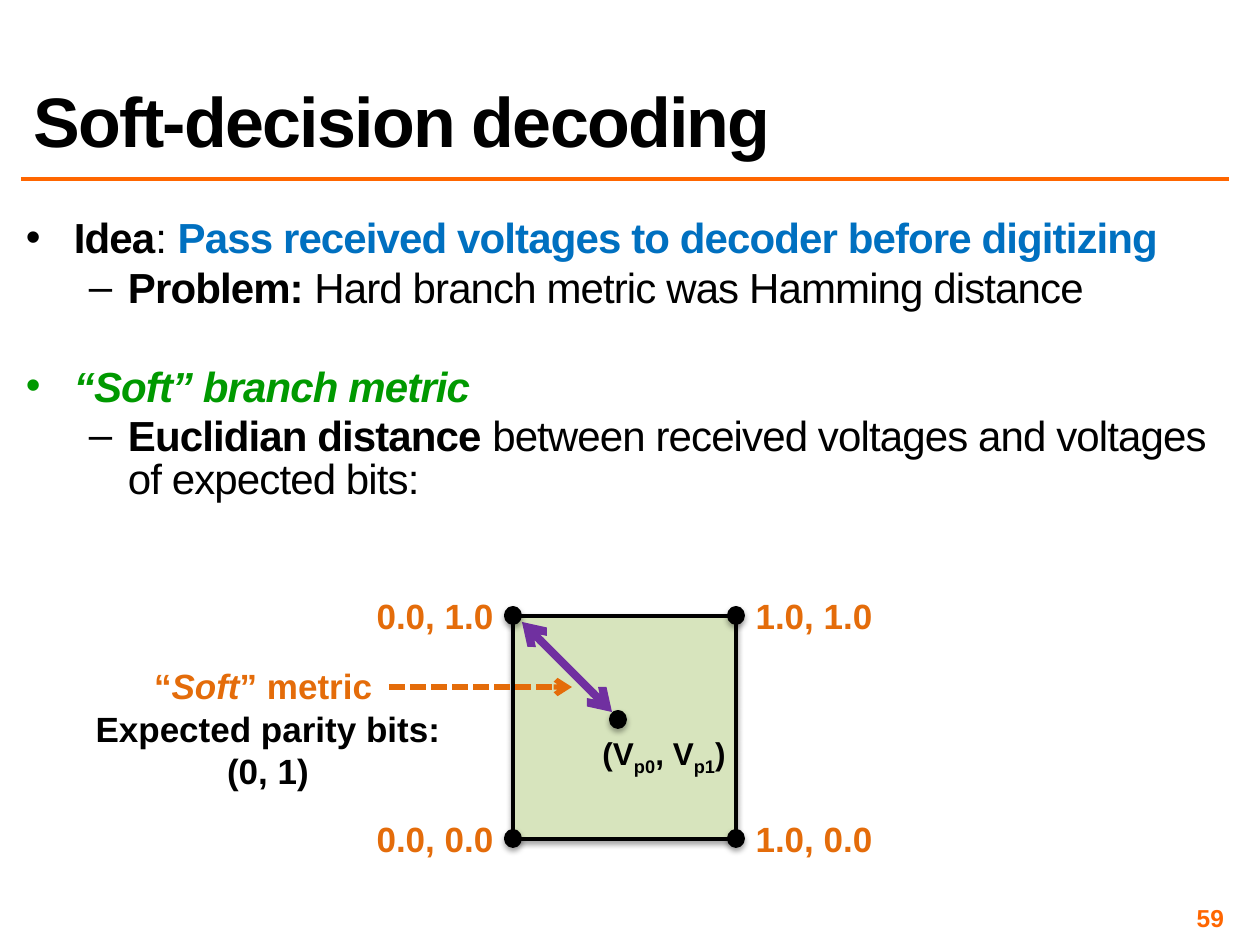
from dataclasses import dataclass

from lxml import etree
from pptx import Presentation
from pptx.dml.color import RGBColor
from pptx.enum.dml import MSO_LINE
from pptx.enum.shapes import MSO_CONNECTOR, MSO_SHAPE
from pptx.enum.text import MSO_ANCHOR, PP_ALIGN
from pptx.oxml.ns import qn
from pptx.util import Pt

LEFT, CENTER, RIGHT = PP_ALIGN.LEFT, PP_ALIGN.CENTER, PP_ALIGN.RIGHT
TOP, MIDDLE, BOTTOM = MSO_ANCHOR.TOP, MSO_ANCHOR.MIDDLE, MSO_ANCHOR.BOTTOM
RECT, OVAL = MSO_SHAPE.RECTANGLE, MSO_SHAPE.OVAL
STRAIGHT, DASH = MSO_CONNECTOR.STRAIGHT, MSO_LINE.SQUARE_DOT
SCALE = 914400 / 126


@dataclass(frozen=True)
class Theme:
    font: str = "Arial"
    black: str = "000000"
    rule: str = "FF6600"
    orange: str = "E46C0A"
    blue: str = "0070C0"
    green: str = "009900"
    purple: str = "7030A0"
    square: str = "D7E4BD"
    title: int = 40
    body: int = 24
    label: int = 20
    point: int = 18
    number: int = 14


T = Theme()


@dataclass(frozen=True)
class Run:
    text: str
    color: str = T.black
    bold: bool = True
    italic: bool = False
    sub: bool = False


@dataclass(frozen=True)
class Para:
    runs: list[Run]
    level: int = 0
    before: int = 0
    bullet: str = ""


@dataclass(frozen=True)
class Corner:
    text: str
    x: int
    y: int
    label_left: int


def px(n: int) -> int:
    return round(n * SCALE)


def rgb(color: str) -> RGBColor:
    return RGBColor.from_string(color)


def add_bullet(p, para: Para) -> None:
    margin, hang = ((48, 48), (102, 39))[para.level]
    pPr = p._p.get_or_add_pPr()
    pPr.set("marL", str(px(margin)))
    pPr.set("indent", str(-px(hang)))
    etree.SubElement(pPr, qn("a:buFont"), typeface=T.font)
    etree.SubElement(pPr, qn("a:buChar"), char=para.bullet)


def add_text(s, box: tuple[int, int, int, int], paras: list[Para], *, size: int,
             align=LEFT, anchor=TOP, inset: tuple[int, int] = (13, 6),
             line: float = 1.0, spacing: int = 0) -> None:
    """Add a text box; spacing is the letter spacing in hundredths of a point."""
    tf = s.shapes.add_textbox(*map(px, box)).text_frame
    tf.word_wrap = True
    tf.vertical_anchor = anchor
    tf.margin_left = tf.margin_right = px(inset[0])
    tf.margin_top = tf.margin_bottom = px(inset[1])
    for i, para in enumerate(paras):
        p = tf.add_paragraph() if i else tf.paragraphs[0]
        p.level = para.level
        if para.bullet:
            add_bullet(p, para)
        p.alignment = align
        p.line_spacing = line
        p.space_before = Pt(para.before)
        for run in para.runs:
            r = p.add_run()
            r.text = run.text
            r.font.name, r.font.size = T.font, Pt(size)
            r.font.bold, r.font.italic = run.bold, run.italic
            r.font.color.rgb = rgb(run.color)
            rPr = r._r.get_or_add_rPr()
            if spacing:
                rPr.set("spc", str(spacing))
            if run.sub:
                rPr.set("baseline", "-25000")


def add_shadowed(s, kind, box: tuple[int, int, int, int], fill: str) -> None:
    sp = s.shapes.add_shape(kind, *map(px, box))
    sp.fill.solid()
    sp.fill.fore_color.rgb = rgb(fill)
    sp.line.color.rgb = rgb(T.black)
    sp.line.width = Pt(2.25)
    sp.shadow.inherit = False
    effects = sp._element.spPr.find(qn("a:effectLst"))
    shadow = etree.SubElement(effects, qn("a:outerShdw"), blurRad=str(Pt(3.1)),
                              dist=str(Pt(1.8)), dir="5400000", rotWithShape="0")
    color = etree.SubElement(shadow, qn("a:srgbClr"), val=T.black)
    etree.SubElement(color, qn("a:alpha"), val="35000")


def add_dot(s, x: int, y: int) -> None:
    add_shadowed(s, OVAL, (x - 7, y - 8, 14, 15), T.black)


def add_line(s, ends: tuple[int, int, int, int], color: str, width: float, *,
             arrows: tuple[str, ...] = (), dash=None) -> None:
    """Draw a line; arrows names the ends that get one: headEnd, tailEnd."""
    c = s.shapes.add_connector(STRAIGHT, *map(px, ends))
    c.line.color.rgb = rgb(color)
    c.line.width = Pt(width)
    if dash is not None:
        c.line.dash_style = dash
    ln = c.line._get_or_add_ln()
    for end in arrows:
        etree.SubElement(ln, qn(f"a:{end}"), type="arrow")
    etree.SubElement(c._element.spPr, qn("a:effectLst"))


BULLETS = [
    Para([Run("Idea"), Run(": ", bold=False),
          Run("Pass received voltages to decoder before digitizing", T.blue)],
         bullet="•"),
    Para([Run("Problem:"),
          Run(" Hard branch metric was Hamming distance", bold=False)],
         level=1, before=4, bullet="–"),
    Para([Run("“Soft” branch metric", T.green, italic=True)],
         before=32, bullet="•"),
    Para([Run("Euclidian distance"),
          Run(" between received voltages and voltages of expected bits:",
              bold=False)],
         level=1, before=4, bullet="–"),
]
METRIC = [
    Para([Run("“", T.orange), Run("Soft", T.orange, italic=True),
          Run("” metric ", T.orange)]),
    Para([Run("Expected parity bits: (0, 1)")]),
]
RECEIVED = [Para([Run("(V"), Run("p0", sub=True), Run(", V"),
                  Run("p1", sub=True), Run(")")])]

SIDE, LABEL_W, LABEL_H = 223, 156, 55
X0, Y0 = 513, 616
X1, Y1 = X0 + SIDE, Y0 + SIDE
CORNERS = [
    Corner("0.0, 1.0", X0, Y0, X0 - LABEL_W),
    Corner("1.0, 1.0", X1, Y0, X1),
    Corner("0.0, 0.0", X0, Y1, X0 - LABEL_W),
    Corner("1.0, 0.0", X1, Y1, X1),
]


def main() -> None:
    prs = Presentation()
    prs.slide_width, prs.slide_height = px(1260), px(945)
    s = prs.slides.add_slide(prs.slide_layouts[6])

    add_line(s, (21, 179, 1229, 179), T.rule, 2)
    add_text(s, (21, 21, 1207, 147), [Para([Run("Soft-decision decoding")])],
             size=T.title, anchor=BOTTOM, line=0.85, spacing=-100)
    add_text(s, (21, 214, 1207, 320), BULLETS, size=T.body, inset=(5, 5),
             line=0.85, spacing=-50)
    add_text(s, (935, 903, 294, 29), [Para([Run("59", T.rule)])],
             size=T.number, align=RIGHT, anchor=MIDDLE, inset=(5, 5))

    add_shadowed(s, RECT, (X0, Y0, SIDE, SIDE), T.square)
    for c in CORNERS:
        add_text(s, (c.label_left, c.y - 28, LABEL_W, LABEL_H),
                 [Para([Run(c.text, T.orange)])], size=T.label, align=CENTER)
    add_dot(s, 618, 720)
    add_line(s, (522, 622, 612, 712), T.purple, 4.5,
             arrows=("headEnd", "tailEnd"))
    add_text(s, (567, 728, 194, 50), RECEIVED, size=T.point, align=CENTER)
    add_text(s, (79, 659, 378, 140), METRIC, size=T.label, align=CENTER)
    add_line(s, (389, 687, 572, 687), T.orange, 3,
             arrows=("tailEnd",), dash=DASH)
    for c in CORNERS:
        add_dot(s, c.x, c.y)

    prs.save("out.pptx")


if __name__ == "__main__":
    main()
